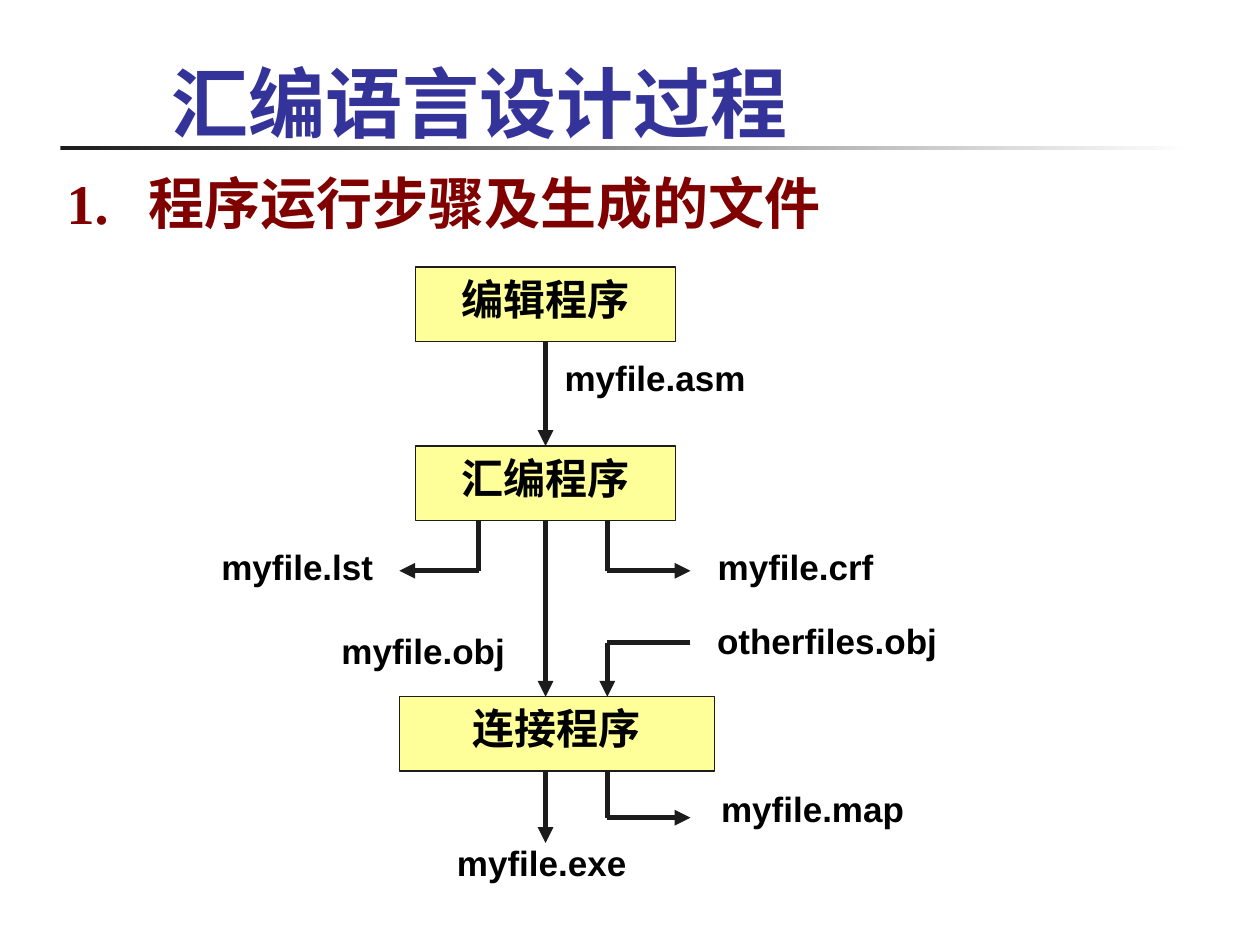
from itertools import pairwise
from lxml import etree
from pptx import Presentation
from pptx.dml.color import RGBColor
from pptx.enum.shapes import MSO_CONNECTOR, MSO_SHAPE
from pptx.enum.text import MSO_ANCHOR, PP_ALIGN
from pptx.oxml.ns import qn
from pptx.util import Inches, Pt

LINE = MSO_CONNECTOR.STRAIGHT
RECT = MSO_SHAPE.RECTANGLE
LEFT, MID = PP_ALIGN.LEFT, PP_ALIGN.CENTER
TOP, BASE = MSO_ANCHOR.TOP, MSO_ANCHOR.BOTTOM

INK, BLACK, WHITE = "1C1C1C", "000000", "FFFFFF"
BLUE, RED, YELLOW = "333399", "800000", "FFFF99"
CJK = "Noto Sans CJK SC"

TITLE = "汇编语言设计过程"
HEAD = "1.\t程序运行步骤及生成的文件"
INDENT = 0.65

COLS = {"out": 3.17, "left": 3.8, "mid": 4.33, "right": 4.82, "end": 5.48}
EDIT, BUILD, LINK, HIGH = 2.12, 3.54, 5.53, 0.59
ROWS = {
    "edit": EDIT + HIGH, "build": BUILD, "built": BUILD + HIGH, "list": 4.53,
    "other": 5.1, "link": LINK, "linked": LINK + HIGH, "map": 6.49, "exe": 6.69,
}

STEPS = [
    ("编辑程序", 3.3, EDIT, 2.06),
    ("汇编程序", 3.3, BUILD, 2.06),
    ("连接程序", 3.17, LINK, 2.5),
]
FILES = [
    ("myfile.asm", 4.17, 2.78, 2.06),
    ("myfile.lst", 1.33, 4.28, 2.06),
    ("myfile.crf", 5.25, 4.28, 2.13),
    ("otherfiles.obj", 5.33, 4.87, 2.47),
    ("myfile.obj", 2.33, 4.95, 2.06),
    ("myfile.map", 5.42, 6.2, 2.06),
    ("myfile.exe", 3.27, 6.63, 2.06),
]
FLOWS = [
    [("mid", "edit"), ("mid", "build")],
    [("mid", "built"), ("mid", "link")],
    [("left", "built"), ("left", "list"), ("out", "list")],
    [("right", "built"), ("right", "list"), ("end", "list")],
    [("end", "other"), ("right", "other"), ("right", "link")],
    [("mid", "linked"), ("mid", "exe")],
    [("right", "linked"), ("right", "map"), ("end", "map")],
]


def color(code):
    return RGBColor.from_string(code)


def place(*nums):
    return [Inches(num) for num in nums]


def write(shape, text, size, face, code, align=MID, anchor=TOP):
    frame = shape.text_frame
    frame.word_wrap = True
    frame.vertical_anchor = anchor
    para = frame.paragraphs[0]
    para.text = text
    para.alignment = align
    font = para.font
    font.size, font.name, font.bold = Pt(size), face, True
    font.color.rgb = color(code)
    return para


def draw_flow(shapes, flow):
    points = [place(COLS[col], ROWS[row]) for col, row in flow]
    for start, stop in pairwise(points):
        wire = shapes.add_connector(LINE, *start, *stop)
        wire.line.width = Pt(3)
        wire.line.color.rgb = color(INK)
        etree.SubElement(wire._element.spPr, qn("a:effectLst"))
    tail = etree.SubElement(wire.line._get_or_add_ln(), qn("a:tailEnd"))
    tail.set("type", "triangle")


def main():
    deck = Presentation()
    deck.slide_width, deck.slide_height = place(10, 7.5)
    slide = deck.slides.add_slide(deck.slide_layouts[5])
    shapes = slide.shapes

    title = shapes.title
    title.left, title.top, title.width, title.height = place(1.26, 0.22, 6.57, 1)
    write(title, TITLE, 44, "Lato", BLUE, LEFT, BASE)

    rule = shapes.add_shape(RECT, *place(0.48, 1.16, 9, 0.03))
    rule.shadow.inherit = False
    rule.line.fill.background()
    rule.fill.gradient()
    rule.fill.gradient_angle = 0
    for stop, code in zip(rule.fill.gradient_stops, (INK, WHITE)):
        stop.color.rgb = color(code)

    head = shapes.add_textbox(*place(0.43, 1.29, 6.37, 0.64))
    para = write(head, HEAD, 32, "Times New Roman", RED, LEFT)
    para.space_before = Pt(8)
    props = para._p.get_or_add_pPr()
    props.set("marL", str(Inches(INDENT)))
    props.set("indent", str(Inches(-INDENT)))

    for text, left, top, wide in STEPS:
        box = shapes.add_shape(RECT, *place(left, top, wide, HIGH))
        box.shadow.inherit = False
        box.fill.solid()
        box.fill.fore_color.rgb = color(YELLOW)
        box.line.color.rgb = color(INK)
        box.line.width = Pt(0.75)
        write(box, text, 24, CJK, BLACK)

    for text, left, top, wide in FILES:
        label = shapes.add_textbox(*place(left, top, wide, 0.57))
        write(label, text, 20, "Arial", BLACK)

    for flow in FLOWS:
        draw_flow(shapes, flow)

    deck.save("out.pptx")


if __name__ == "__main__":
    main()
